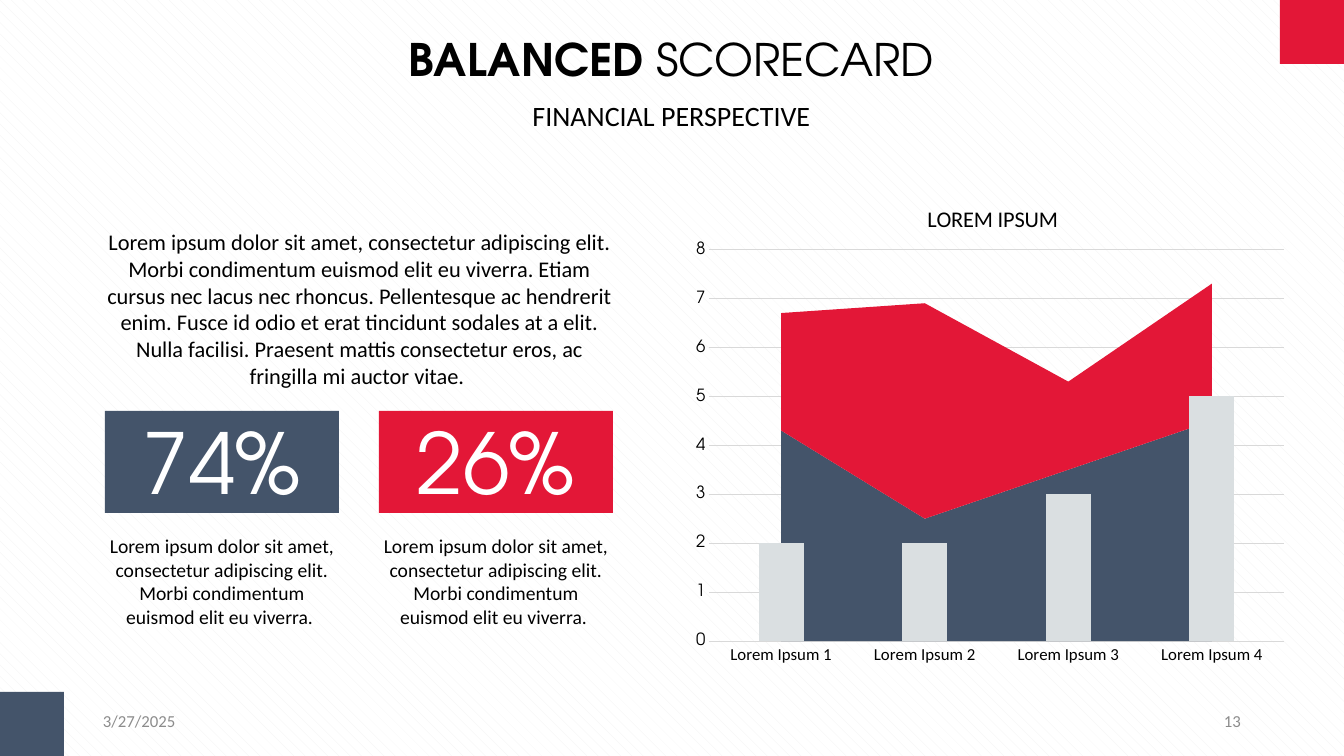
from copy import deepcopy

from lxml import etree
from pptx import Presentation
from pptx.chart.data import CategoryChartData
from pptx.dml.color import RGBColor
from pptx.enum.chart import XL_CHART_TYPE, XL_TICK_MARK
from pptx.enum.dml import MSO_PATTERN
from pptx.enum.shapes import MSO_SHAPE
from pptx.enum.text import MSO_ANCHOR, MSO_AUTO_SIZE, PP_ALIGN
from pptx.oxml import parse_xml
from pptx.oxml.ns import qn
from pptx.util import Pt

RECT = MSO_SHAPE.RECTANGLE
TOP, MIDDLE = MSO_ANCHOR.TOP, MSO_ANCHOR.MIDDLE
LEFT, CENTER, RIGHT = PP_ALIGN.LEFT, PP_ALIGN.CENTER, PP_ALIGN.RIGHT
NO_TICK = XL_TICK_MARK.NONE
CHART_NS = "http://schemas.openxmlformats.org/drawingml/2006/chart"
PX = 914400 / 100.8

THEME = {
    "slate": RGBColor.from_string("44546A"),
    "red": RGBColor.from_string("E31737"),
    "silver": RGBColor.from_string("DADFE1"),
    "black": RGBColor.from_string("000000"),
    "white": RGBColor.from_string("FFFFFF"),
    "footer": RGBColor.from_string("8C8C8C"),
    "grid": RGBColor.from_string("D9D9D9"),
    "stripe": RGBColor.from_string("F2F2F2"),
    "body_font": "Calibri",
    "display_font": "TeX Gyre Adventor",
    "title_size": 32,
    "subtitle_size": 20,
    "text_size": 16,
    "caption_size": 14,
    "small_size": 12,
    "figure_size": 60,
}


def write(shape, runs, size, color="black", font="body_font", align=CENTER, anchor=TOP, inset=(0, 0)):
    """Fill a shape with one paragraph of (text, bold) runs; inset is (side, top and bottom) px."""
    side, edge = (round(value * PX) for value in inset)
    frame = shape.text_frame
    frame_format = {
        "word_wrap": True, "auto_size": MSO_AUTO_SIZE.NONE, "vertical_anchor": anchor,
        "margin_left": side, "margin_right": side, "margin_top": edge, "margin_bottom": edge,
    }
    for name, value in frame_format.items():
        setattr(frame, name, value)
    paragraph = frame.paragraphs[0]
    paragraph.alignment = align
    for text, bold in runs:
        run = paragraph.add_run()
        run.text = text
        run.font.name, run.font.size, run.font.bold = THEME[font], Pt(THEME[size]), bold
        run.font.color.rgb = THEME[color]


def place_in_chart(element, index, **fractions):
    """Give a chart part a manual layout, in fractions of the chart's size."""
    for old in element.findall(qn("c:layout")):
        element.remove(old)
    layout = etree.Element(qn("c:layout"))
    manual = etree.SubElement(layout, qn("c:manualLayout"))
    for tag, value in fractions.items():
        etree.SubElement(manual, qn("c:" + tag)).set("val", str(value))
    element.insert(index, layout)


deck = Presentation()
deck.slide_width, deck.slide_height = round(1344 * PX), round(756 * PX)
slide = deck.slides.add_slide(deck.slide_layouts[5])
backdrop = slide.background.fill
backdrop.patterned()
backdrop.pattern = MSO_PATTERN.SHINGLE
backdrop.fore_color.rgb, backdrop.back_color.rgb = THEME["stripe"], THEME["white"]

# Heading
title = slide.shapes.title
title_box = {"left": 161, "top": 32, "width": 1021, "height": 54}
for name, value in title_box.items():
    setattr(title, name, round(value * PX))
write(title, [("BALANCED ", True), ("SCORECARD", False)], "title_size", font="display_font", anchor=MIDDLE)

# Corner blocks and the two figures
blocks = [
    ((1280, 0, 64, 64), "red", ""),
    ((0, 692, 64, 64), "slate", ""),
    ((105, 411, 234, 102), "slate", "74%"),
    ((379, 411, 234, 102), "red", "26%"),
]
for box, color, figure in blocks:
    block = slide.shapes.add_shape(RECT, *(round(value * PX) for value in box))
    block.shadow.inherit = False
    block.fill.solid()
    block.fill.fore_color.rgb = THEME[color]
    block.line.fill.background()
    if figure:
        write(block, [(figure, False)], "figure_size", "white", "display_font")

# Running text and footer
INTRO = (
    "Lorem ipsum dolor sit amet, consectetur adipiscing elit. Morbi condimentum euismod elit eu viverra. "
    "Etiam cursus nec lacus nec rhoncus. Pellentesque ac hendrerit enim. Fusce id odio et erat tincidunt "
    "sodales at a elit. Nulla facilisi. Praesent mattis consectetur eros, ac fringilla mi auctor vitae. "
)
CAPTION = "Lorem ipsum dolor sit amet, consectetur adipiscing elit. Morbi condimentum euismod elit eu viverra. "
footer = {"color": "footer", "anchor": MIDDLE, "inset": (10, 5)}
texts = [
    ((161, 98, 1021, 34), "FINANCIAL PERSPECTIVE", "subtitle_size", {}),
    ((106, 228, 507, 163), INTRO, "text_size", {}),
    ((105, 534, 234, 95), CAPTION, "caption_size", {}),
    ((379, 534, 234, 95), CAPTION, "caption_size", {}),
    ((93, 701, 302, 40), "3/27/2025", "small_size", {**footer, "align": LEFT}),
    ((949, 701, 302, 40), "13", "small_size", {**footer, "align": RIGHT}),
]
for box, text, size, style in texts:
    text_box = slide.shapes.add_textbox(*(round(value * PX) for value in box))
    write(text_box, [(text, False)], size, **style)

# Stacked areas with columns in front
data = CategoryChartData()
data.categories = [f"Lorem Ipsum {number}" for number in range(1, 5)]
series_rows = [
    ("Series 1", (4.3, 2.5, 3.5, 4.5), "slate"),
    ("Series 2", (2.4, 4.4, 1.8, 2.8), "red"),
    ("Series 3", (2, 2, 3, 5), "silver"),
]
for name, values, color in series_rows:
    data.add_series(name, values)
chart_box = (round(value * PX) for value in (685, 180, 611, 496))
chart = slide.shapes.add_chart(XL_CHART_TYPE.AREA_STACKED, *chart_box, data).chart
chart.has_legend = False
chart.font.name, chart.font.size = THEME["body_font"], Pt(THEME["small_size"])
chart.font.color.rgb = THEME["black"]
area_plot = chart.plots[0]
area_plot.vary_by_categories = False
for series, (name, values, color) in zip(area_plot.series, series_rows):
    series.format.fill.solid()
    series.format.fill.fore_color.rgb = THEME[color]
    series.format.line.fill.background()

chart.has_title = True
chart_heading = chart.chart_title.text_frame
chart_heading.text = "LOREM IPSUM"
heading_font = chart_heading.paragraphs[0].runs[0].font
heading_font.name, heading_font.size, heading_font.bold = THEME["body_font"], Pt(THEME["text_size"]), False
heading_font.color.rgb = THEME["black"]

category_axis, value_axis = chart.category_axis, chart.value_axis
axis_formats = [
    (category_axis, "body_font", {"has_major_gridlines": False}),
    (value_axis, "display_font", {
        "has_major_gridlines": True, "minimum_scale": 0, "maximum_scale": 8, "major_unit": 1}),
]
for axis, font, axis_format in axis_formats:
    for name, value in {**axis_format, "major_tick_mark": NO_TICK, "minor_tick_mark": NO_TICK}.items():
        setattr(axis, name, value)
    label_font = axis.tick_labels.font
    label_font.name, label_font.size = THEME[font], Pt(THEME["small_size"])
    label_font.color.rgb = THEME["black"]
value_axis.format.line.fill.background()
for rule in (category_axis.format.line, value_axis.major_gridlines.format.line):
    rule.color.rgb, rule.width = THEME["grid"], Pt(0.75)

plot_area = chart.plots[0]._element.getparent()
areas = plot_area.find(qn("c:areaChart"))
columns = parse_xml(
    f'<c:barChart xmlns:c="{CHART_NS}"><c:barDir val="col"/><c:grouping val="clustered"/>'
    '<c:varyColors val="0"/><c:gapWidth val="219"/></c:barChart>'
)
columns.insert(3, areas.findall(qn("c:ser"))[2])
for axis_id in areas.findall(qn("c:axId")):
    columns.append(deepcopy(axis_id))
areas.addnext(columns)
plot_area.find(qn("c:valAx")).find(qn("c:crossBetween")).set("val", "between")
place_in_chart(
    plot_area, 0, layoutTarget="inner", xMode="edge", yMode="edge", x=0.04, y=0.14, w=0.94, h=0.79)
place_in_chart(chart.chart_title._element, 1, xMode="edge", yMode="edge", x=0.39, y=0.04)

deck.save("out.pptx")
